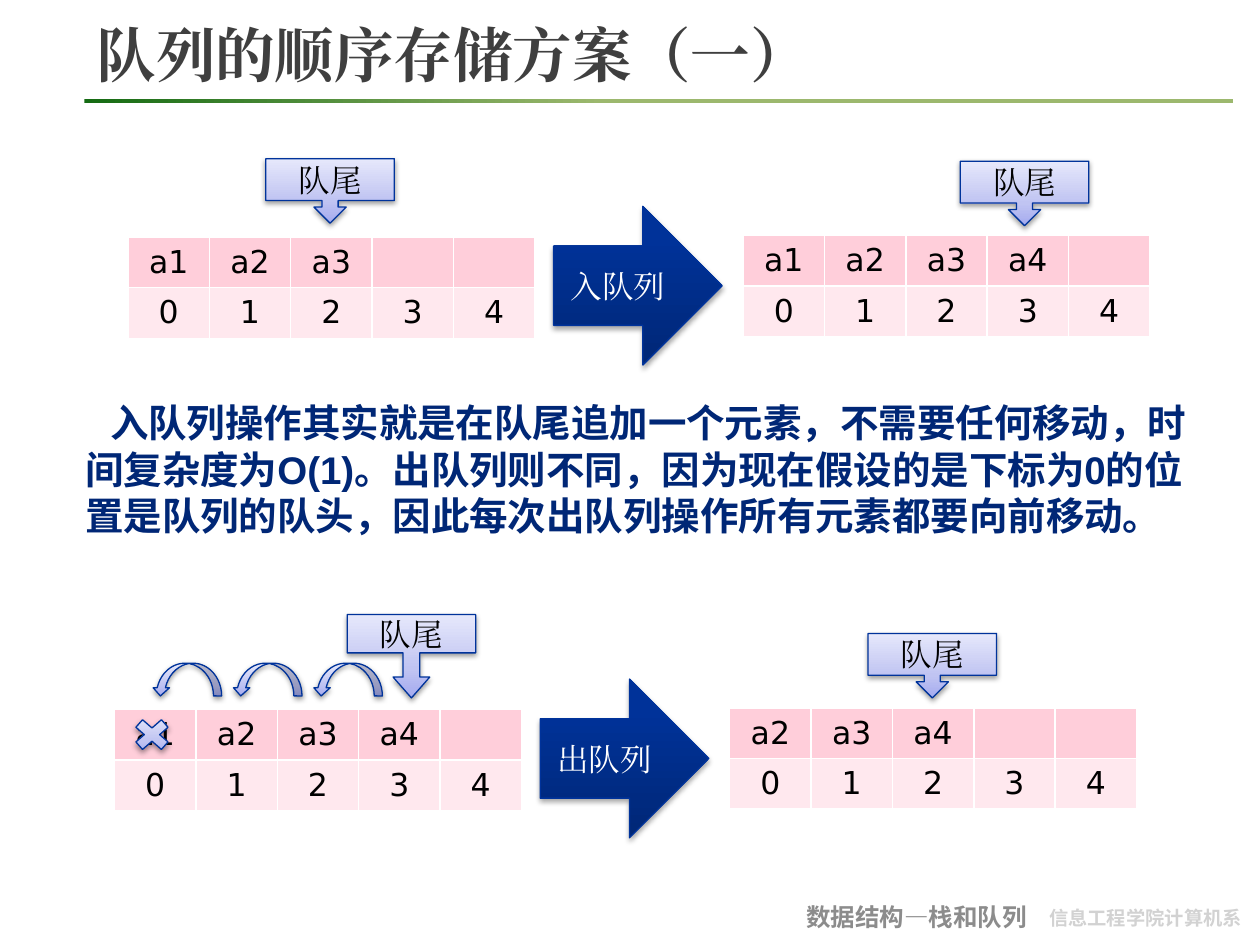
from dataclasses import dataclass
from typing import Optional

from lxml import etree
from pptx import Presentation
from pptx.dml.color import RGBColor
from pptx.enum.shapes import MSO_SHAPE
from pptx.enum.text import MSO_ANCHOR, PP_ALIGN
from pptx.oxml.ns import qn
from pptx.util import Cm, Pt

CALLOUT = MSO_SHAPE.DOWN_ARROW_CALLOUT
BIG_ARROW = MSO_SHAPE.RIGHT_ARROW
HOP = MSO_SHAPE.CURVED_DOWN_ARROW
CROSS = MSO_SHAPE.MATH_MULTIPLY
BAR = MSO_SHAPE.RECTANGLE
LEFT, CENTER = PP_ALIGN.LEFT, PP_ALIGN.CENTER
TOP, MIDDLE, BOTTOM = MSO_ANCHOR.TOP, MSO_ANCHOR.MIDDLE, MSO_ANCHOR.BOTTOM


@dataclass(frozen=True)
class Theme:
    heading: str = "3F3F3F"
    navy: str = "002776"
    outline: str = "00339B"
    black: str = "000000"
    white: str = "FFFFFF"
    course: str = "8C8C8C"
    school: str = "D2D2D2"
    element_row: str = "FFCEDA"
    index_row: str = "FFE8EE"
    pale: tuple = ((0, "A4AAEF"), (35, "C0C4F2"), (100, "E6E8FB"))
    deep: tuple = ((0, "002776"), (80, "003299"), (100, "00339A"))
    green: tuple = ((0, "156B13"), (45, "9CB86E"), (100, "9CB86E"))
    serif: str = "Times New Roman"
    sans: str = "Arial"
    cell_font: str = "DejaVu Sans"
    course_font: str = "Noto Sans CJK JP"
    school_font: str = "Noto Sans CJK SC"
    title_size: float = 34
    body_size: float = 22
    body_pitch: float = 26.6
    label_size: float = 18
    course_size: float = 14
    school_size: float = 11


@dataclass(frozen=True)
class Box:
    left: float
    top: float
    width: float
    height: float

    def lengths(self) -> tuple:
        return Cm(self.left), Cm(self.top), Cm(self.width), Cm(self.height)


@dataclass(frozen=True)
class Queue:
    left: float
    top: float
    elements: tuple


@dataclass(frozen=True)
class Tail:
    left: float
    top: float
    height: float = 1.3
    adjustments: tuple = ()


@dataclass(frozen=True)
class Operation:
    left: float
    top: float
    label: str


THEME = Theme()
CAPACITY = 5
COLUMN, ROW = 1.64, 1.02
QUEUES = (
    Queue(2.58, 4.78, ("a1", "a2", "a3")),
    Queue(14.98, 4.75, ("a1", "a2", "a3", "a4")),
    Queue(2.31, 14.3, ("a1", "a2", "a3", "a4")),
    Queue(14.71, 14.27, ("a2", "a3", "a4")),
)
TAILS = (
    Tail(5.36, 3.2),
    Tail(19.36, 3.25),
    Tail(7.0, 12.39, 1.68, (0.2, 0.22, 0.25, 0.46)),
    Tail(17.5, 12.77),
)
OPERATIONS = (Operation(11.16, 4.16, "入队列"), Operation(10.89, 13.69, "出队列"))
EXPLANATION = (
    "入队列操作其实就是在队尾追加一个元素，不需要任何移动，时间复杂度为O(1)。"
    "出队列则不同，因为现在假设的是下标为0的位置是队列的队头，"
    "因此每次出队列操作所有元素都要向前移动。"
)


def write(frame, text: str, *, font: str, size: float, color: str, bold: bool = False,
          align=LEFT, anchor=TOP, pitch: Optional[float] = None, indent: float = 0) -> None:
    frame.word_wrap = True
    frame.vertical_anchor = anchor
    paragraph = frame.paragraphs[0]
    paragraph.alignment = align
    if pitch:
        paragraph.line_spacing = Pt(pitch)
    if indent:
        paragraph._p.get_or_add_pPr().set("indent", str(Cm(indent)))
    run = paragraph.add_run()
    run.text = text
    run.font.name = font
    run.font.size = Pt(size)
    run.font.bold = bold
    run.font.color.rgb = RGBColor.from_string(color)
    etree.SubElement(run._r.get_or_add_rPr(), qn("a:ea"), typeface=font)


def add_label(slide, box: Box, text: str, **style) -> None:
    write(slide.shapes.add_textbox(*box.lengths()).text_frame, text, **style)


def add_figure(slide, preset, box: Box, stops: tuple, angle: float = 90,
               shadow: Optional[tuple] = (38, 3.1, 1.6)):
    figure = slide.shapes.add_shape(preset, *box.lengths())
    figure.shadow.inherit = False
    figure.fill.gradient()
    figure.fill.gradient_angle = angle
    properties = figure._element.spPr
    stop_list = properties.find(qn("a:gradFill")).find(qn("a:gsLst"))
    for stop in list(stop_list):
        stop_list.remove(stop)
    for percent, color in stops:
        stop = etree.SubElement(stop_list, qn("a:gs"), pos=str(percent * 1000))
        etree.SubElement(stop, qn("a:srgbClr"), val=color)
    if shadow is None:
        figure.line.fill.background()
        return figure
    figure.line.color.rgb = RGBColor.from_string(THEME.outline)
    figure.line.width = Pt(0.75)
    alpha, blur, distance = shadow
    cast = etree.SubElement(
        properties.find(qn("a:effectLst")), qn("a:outerShdw"), blurRad=str(Pt(blur)),
        dist=str(Pt(distance)), dir="5400000", rotWithShape="0")
    tint = etree.SubElement(cast, qn("a:srgbClr"), val=THEME.black)
    etree.SubElement(tint, qn("a:alpha"), val=str(alpha * 1000))
    return figure


def add_borders(cell) -> None:
    properties = cell._tc.get_or_add_tcPr()
    for position, side in enumerate(("lnL", "lnR", "lnT", "lnB")):
        border = etree.Element(qn(f"a:{side}"), w=str(Pt(1)))
        paint = etree.SubElement(border, qn("a:solidFill"))
        etree.SubElement(paint, qn("a:srgbClr"), val=THEME.white)
        properties.insert(position, border)


def add_queue(slide, queue: Queue) -> None:
    box = Box(queue.left, queue.top, COLUMN * CAPACITY, ROW * 2)
    grid = slide.shapes.add_table(2, CAPACITY, *box.lengths()).table
    grid.first_row = grid.horz_banding = False
    for column in grid.columns:
        column.width = Cm(COLUMN)
    elements = queue.elements + ("",) * (CAPACITY - len(queue.elements))
    rows = ((elements, THEME.element_row), (map(str, range(CAPACITY)), THEME.index_row))
    for row, (values, color) in enumerate(rows):
        grid.rows[row].height = Cm(ROW)
        for column, value in enumerate(values):
            cell = grid.cell(row, column)
            cell.fill.solid()
            cell.fill.fore_color.rgb = RGBColor.from_string(color)
            add_borders(cell)
            if value:
                write(cell.text_frame, value, font=THEME.cell_font, size=THEME.label_size,
                      color=THEME.black, align=CENTER)
                cell.vertical_anchor = MIDDLE


def add_tail(slide, tail: Tail) -> None:
    callout = add_figure(slide, CALLOUT, Box(tail.left, tail.top, 2.59, tail.height), THEME.pale)
    for index, value in enumerate(tail.adjustments):
        callout.adjustments[index] = value
    write(callout.text_frame, "队尾", font=THEME.serif, size=THEME.label_size,
          color=THEME.black, align=CENTER, anchor=MIDDLE)


def add_operation(slide, operation: Operation) -> None:
    arrow = add_figure(slide, BIG_ARROW, Box(operation.left, operation.top, 3.4, 3.2),
                       THEME.deep, shadow=(35, 3.1, 1.8))
    write(arrow.text_frame, operation.label, font=THEME.serif, size=THEME.label_size,
          color=THEME.white, align=CENTER, anchor=MIDDLE)


def main() -> None:
    deck = Presentation()
    deck.slide_width, deck.slide_height = Cm(25.4), Cm(19.05)
    slide = deck.slides.add_slide(deck.slide_layouts[6])

    add_figure(slide, BAR, Box(1.7, 2.0, 23.16, 0.07), THEME.green, angle=0, shadow=None)
    add_label(slide, Box(16, 18.06, 9.4, 0.86), "数据结构—栈和队列", font=THEME.course_font,
              size=THEME.course_size, color=THEME.course, bold=True)
    add_label(slide, Box(20.9, 18.14, 5.79, 0.74), "信息工程学院计算机系",
              font=THEME.school_font, size=THEME.school_size, color=THEME.school, bold=True)
    add_label(slide, Box(1.7, 0.33, 23.06, 1.6), "队列的顺序存储方案（一）", font=THEME.serif,
              size=THEME.title_size, color=THEME.heading, bold=True, anchor=BOTTOM)
    add_label(slide, Box(1.47, 7.92, 22.81, 3.07), EXPLANATION, font=THEME.sans,
              size=THEME.body_size, color=THEME.navy, bold=True,
              pitch=THEME.body_pitch, indent=0.5)

    for queue in QUEUES:
        add_queue(slide, queue)
    for tail in TAILS:
        add_tail(slide, tail)
    for operation in OPERATIONS:
        add_operation(slide, operation)

    add_figure(slide, CROSS, Box(2.57, 14.38, 0.99, 0.86), THEME.pale)
    for step in range(3):
        hop = add_figure(slide, HOP, Box(3.07 + 1.62 * step, 13.37, 1.4, 0.66), THEME.pale)
        hop._element.spPr.xfrm.set("flipH", "1")

    deck.save("out.pptx")


if __name__ == "__main__":
    main()
